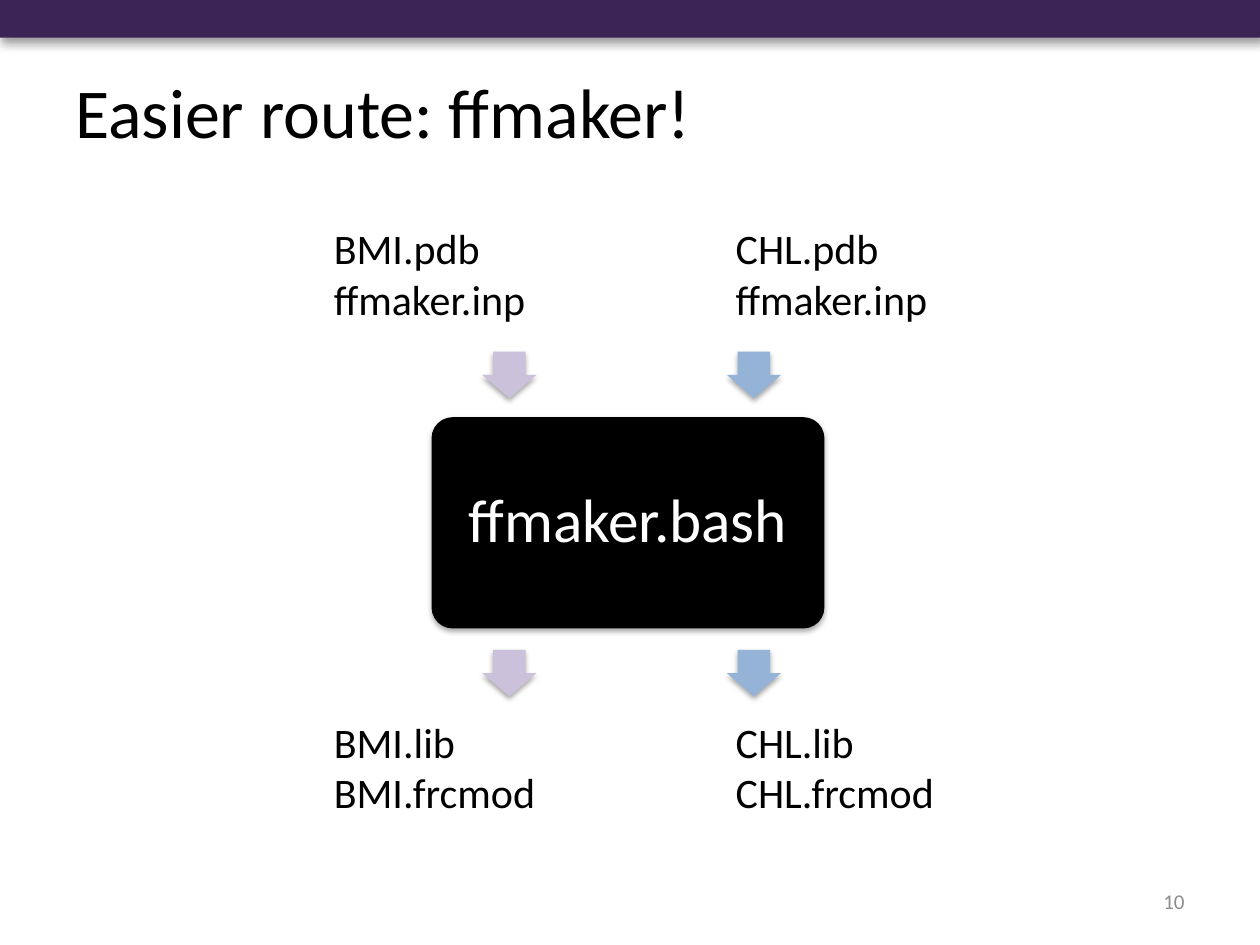
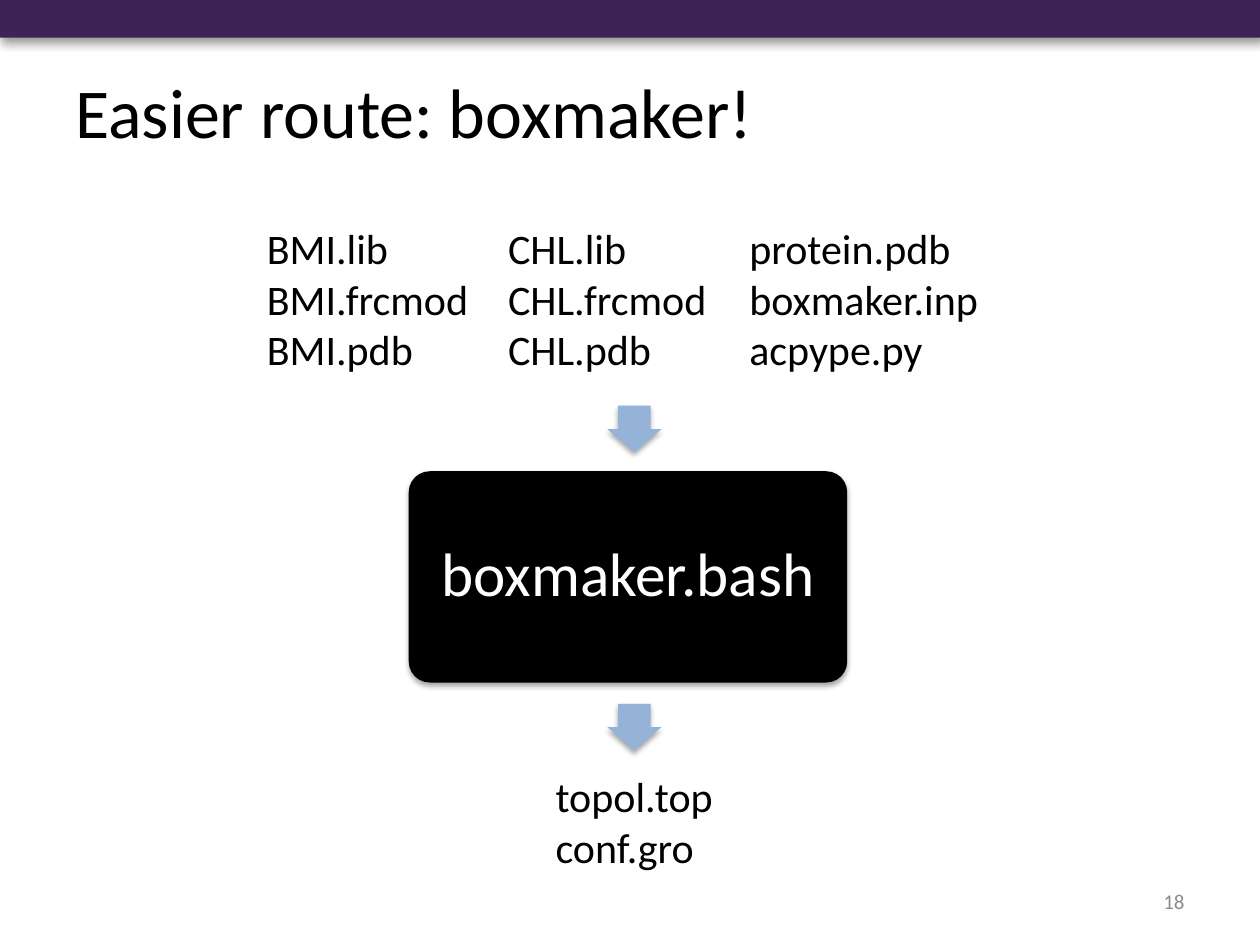
"""Build two slides that show script workflows from input files to output files."""
from lxml import etree
from pptx import Presentation
from pptx.dml.color import RGBColor
from pptx.enum.shapes import MSO_SHAPE
from pptx.enum.text import MSO_ANCHOR, MSO_AUTO_SIZE, PP_ALIGN
from pptx.oxml.ns import qn
from pptx.util import Cm, Pt

BLACK = RGBColor(0x00, 0x00, 0x00)
WHITE = RGBColor(0xFF, 0xFF, 0xFF)
PURPLE = RGBColor(0x3D, 0x24, 0x56)
LILAC = RGBColor(0xCC, 0xC1, 0xDA)
BLUE = RGBColor(0x95, 0xB3, 0xD7)
GREY = RGBColor(0x8C, 0x8C, 0x8C)
FONT = "Calibri"

BAND, BOX, ARROW = (MSO_SHAPE.RECTANGULAR_CALLOUT, MSO_SHAPE.ROUNDED_RECTANGLE,
                    MSO_SHAPE.DOWN_ARROW)
TOP, MIDDLE = MSO_ANCHOR.TOP, MSO_ANCHOR.MIDDLE
LEFT, CENTER, RIGHT = PP_ALIGN.LEFT, PP_ALIGN.CENTER, PP_ALIGN.RIGHT
GROW = MSO_AUTO_SIZE.SHAPE_TO_FIT_TEXT

INPUT_TOP = 4.37
LINE_H, PADDING = 1.03, 0.27
ARROW_W, ARROW_H = 1.09, 0.94
GAP_ABOVE_BOX, GAP_BELOW_BOX, GAP_TO_OUTPUT = 0.38, 0.43, 0.28
BOX_MID, BOX_H = 12.66, 4.26
BOX_SHADOW, BAND_SHADOW = (3.1, 1.8, 35), (5, 3, 40)

SLIDES = [
    {
        "title": "Easier route: ffmaker!",
        "number": "10",
        "script": "ffmaker.bash",
        "box": (8.41, 7.92),
        "arrows": [(10.27, LILAC), (15.2, BLUE)],
        "inputs": [(6.48, 5.1, 1, ["BMI.pdb", "ffmaker.inp"]),
                   (14.58, 5.2, 1, ["CHL.pdb", "ffmaker.inp"])],
        "outputs": [(6.48, 4.75, 1, ["BMI.lib", "BMI.frcmod"]),
                    (14.58, 4.75, 1, ["CHL.lib", "CHL.frcmod"])],
    },
    {
        "title": "Easier route: boxmaker!",
        "number": "18",
        "script": "boxmaker.bash",
        "box": (9.5, 8.84),
        "arrows": [(12.79, BLUE)],
        "inputs": [(5.13, 15.09, 3, ["BMI.lib", "BMI.frcmod", "BMI.pdb",
                                     "CHL.lib", "CHL.frcmod", "CHL.pdb",
                                     "protein.pdb", "boxmaker.inp", "acpype.py"])],
        "outputs": [(10.95, 3.9, 1, ["topol.top", "conf.gro"])],
    },
]


def write(tf, lines, size, color, align=LEFT, anchor=TOP):
    tf.word_wrap = True
    tf.vertical_anchor = anchor
    for i, line in enumerate(lines):
        p = tf.paragraphs[0] if i == 0 else tf.add_paragraph()
        p.alignment = align
        r = p.add_run()
        r.text = line
        r.font.name = FONT
        r.font.size = Pt(size)
        r.font.color.rgb = color


def add_text(s, x, y, w, h, lines, size, color, **layout):
    tf = s.shapes.add_textbox(Cm(x), Cm(y), Cm(w), Cm(h)).text_frame
    write(tf, lines, size, color, **layout)
    return tf


def add_shape(s, kind, x, y, w, h, color, adjustments, shadow=BOX_SHADOW):
    sp = s.shapes.add_shape(kind, Cm(x), Cm(y), Cm(w), Cm(h))
    sp.fill.solid()
    sp.fill.fore_color.rgb = color
    sp.line.fill.background()
    for i, value in enumerate(adjustments):
        sp.adjustments[i] = value
    sp.shadow.inherit = False
    blur, dist, alpha = shadow
    effects = sp._element.spPr.find(qn("a:effectLst"))
    outer = etree.SubElement(effects, qn("a:outerShdw"), blurRad=str(Pt(blur)),
                             dist=str(Pt(dist)), dir="5400000", rotWithShape="0")
    clr = etree.SubElement(outer, qn("a:srgbClr"), val=str(BLACK))
    etree.SubElement(clr, qn("a:alpha"), val=str(alpha * 1000))
    return sp


def add_files(s, y, groups):
    for x, w, columns, names in groups:
        h = len(names) // columns * LINE_H + PADDING
        tf = add_text(s, x, y, w, h, names, 24, BLACK)
        tf.auto_size = GROW
        if columns > 1:
            tf._txBody.bodyPr.set("numCol", str(columns))


def add_frame(s, title, number):
    add_text(s, 1.27, 1.19, 23.62, 2.06, [title], 40, BLACK, anchor=MIDDLE)
    band = add_shape(s, BAND, 0, 0, 25.48, 0.76, PURPLE, (0.085, 0.499), BAND_SHADOW)
    band._element.spPr.find(qn("a:xfrm")).set("flipH", "1")
    add_text(s, 18.21, 17.65, 5.92, 1.02, [number], 12, GREY,
             align=RIGHT, anchor=MIDDLE)


def add_workflow(s, flow):
    box_top, box_w = flow["box"]
    upper = box_top - GAP_ABOVE_BOX - ARROW_H
    lower = box_top + BOX_H + GAP_BELOW_BOX
    add_files(s, INPUT_TOP, flow["inputs"])
    box = add_shape(s, BOX, BOX_MID - box_w / 2, box_top, box_w, BOX_H, BLACK, (0.1,))
    tf = box.text_frame
    tf.margin_left = tf.margin_right = tf.margin_top = tf.margin_bottom = Cm(0.38)
    write(tf, [flow["script"]], 35, WHITE, CENTER, MIDDLE)
    tf.paragraphs[0].line_spacing = 0.9
    for y in (upper, lower):
        for mid, color in flow["arrows"]:
            add_shape(s, ARROW, mid - ARROW_W / 2, y, ARROW_W, ARROW_H, color, (0.6, 0.5))
    add_files(s, lower + ARROW_H + GAP_TO_OUTPUT, flow["outputs"])


def main():
    prs = Presentation()
    prs.slide_width, prs.slide_height = Cm(25.4), Cm(19.05)
    for flow in SLIDES:
        s = prs.slides.add_slide(prs.slide_layouts[6])
        add_frame(s, flow["title"], flow["number"])
        add_workflow(s, flow)
    prs.save("out.pptx")


if __name__ == "__main__":
    main()
